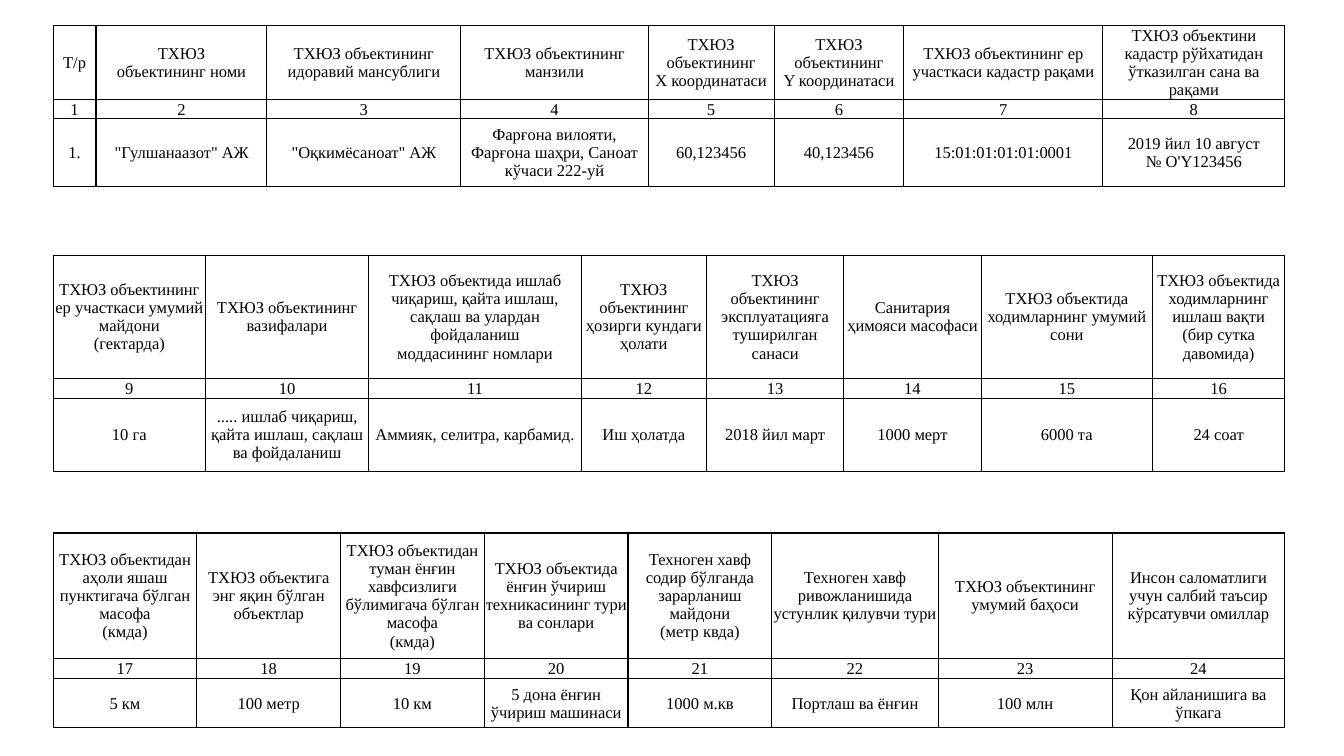
from lxml.etree import SubElement
from pptx import Presentation
from pptx.dml.color import RGBColor
from pptx.enum.text import MSO_ANCHOR, PP_ALIGN
from pptx.oxml.ns import qn
from pptx.util import Pt

BLACK = RGBColor(0, 0, 0)
FONT = "Times New Roman"
FONT_SIZE = 13
BORDER_WIDTH = 1
INSET = 0.7
LEFT = 41.8

# In cell text "\n" starts a paragraph and "\v" breaks a line.
REGISTRATION = {
    "top": 20.2,
    "widths": [33.8, 134.6, 152.6, 147.6, 99.2, 102.2, 156.8, 143.2],
    "heights": [58.3, 15.1, 53.3],
    "headings": [
        "Т/р",
        "ТХЮЗ\nобъектининг номи",
        "ТХЮЗ объектининг идоравий мансублиги",
        "ТХЮЗ объектининг манзили",
        "ТХЮЗ объектининг\nХ координатаси",
        "ТХЮЗ объектининг\nY координатаси",
        "ТХЮЗ объектининг ер участкаси кадастр рақами",
        "ТХЮЗ объектини кадастр рўйхатидан ўтказилган сана ва рақами",
    ],
    "values": [
        "1.",
        '"Гулшанаазот" АЖ',
        '"Оқкимёсаноат" АЖ',
        "Фарғона вилояти, Фарғона шаҳри, Саноат кўчаси 222-уй",
        "60,123456",
        "40,123456",
        "15:01:01:01:01:0001",
        "2019 йил 10 август\n№ O'Y123456",
    ],
}
OPERATION = {
    "top": 200.9,
    "widths": [120, 128.5, 167.4, 98.6, 108.2, 108.2, 134.9, 104.2],
    "heights": [97.2, 15.8, 57.2],
    "headings": [
        "ТХЮЗ объектининг ер участкаси умумий майдони\n(гектарда)",
        "ТХЮЗ объектининг вазифалари",
        "ТХЮЗ объектида ишлаб чиқариш, қайта ишлаш, сақлаш ва улардан "
        "фойдаланиш\vмоддасининг номлари",
        "ТХЮЗ объектининг ҳозирги кундаги ҳолати",
        "ТХЮЗ объектининг эксплуатацияга туширилган санаси",
        "Санитария ҳимояси масофаси",
        "ТХЮЗ объектида ходимларнинг умумий сони",
        "ТХЮЗ объектида ходимларнинг ишлаш вақти\n(бир сутка давомида)",
    ],
    "values": [
        "10 га",
        "..... ишлаб чиқариш, қайта ишлаш, сақлаш ва фойдаланиш",
        "Аммияк, селитра, карбамид.",
        "Иш ҳолатда",
        "2018 йил март",
        "1000 мерт",
        "6000 та",
        "24 соат",
    ],
}
HAZARD = {
    "top": 419.8,
    "widths": [113.2] * 5 + [131, 137, 136],
    "heights": [98.8, 15.8, 38.8],
    "headings": [
        "ТХЮЗ объектидан аҳоли яшаш пунктигача бўлган масофа\n(кмда)",
        "ТХЮЗ объектига энг яқин бўлган объектлар",
        "ТХЮЗ объектидан туман ёнғин хавфсизлиги бўлимигача бўлган масофа\n(кмда)",
        "ТХЮЗ объектида ёнғин ўчириш техникасининг тури ва сонлари",
        "Техноген хавф содир бўлганда зарарланиш майдони\n(метр квда)",
        "Техноген хавф ривожланишида устунлик қилувчи тури",
        "ТХЮЗ объектининг умумий баҳоси",
        "Инсон саломатлиги учун салбий таъсир кўрсатувчи омиллар",
    ],
    "values": [
        "5 км",
        "100 метр",
        "10 км",
        "5 дона ёнғин ўчириш машинаси",
        "1000 м.кв",
        "Портлаш ва ёнғин",
        "100 млн",
        "Қон айланишига ва ўпкага",
    ],
}


def add_borders(cell):
    """Draw all four cell edges; must run before the cell fill is set."""
    properties = cell._tc.get_or_add_tcPr()
    for edge in ("a:lnL", "a:lnR", "a:lnT", "a:lnB"):
        line = SubElement(properties, qn(edge), w=str(Pt(BORDER_WIDTH)))
        fill = SubElement(line, qn("a:solidFill"))
        SubElement(fill, qn("a:srgbClr"), val=str(BLACK))


def write_cell(cell, text):
    cell.margin_left = cell.margin_right = cell.margin_top = Pt(INSET)
    cell.margin_bottom = Pt(0)
    cell.vertical_anchor = MSO_ANCHOR.MIDDLE
    add_borders(cell)
    cell.fill.background()
    frame = cell.text_frame
    for index, content in enumerate(text.split("\n")):
        para = frame.add_paragraph() if index else frame.paragraphs[0]
        para.alignment = PP_ALIGN.CENTER
        for part, words in enumerate(content.split("\v")):
            if part:
                para.add_line_break()
            span = para.add_run()
            span.text = words
            span.font.name = FONT
            span.font.size = Pt(FONT_SIZE)
            span.font.color.rgb = BLACK


def add_register(page, register, first_number):
    """Add a table of headings, running column numbers and values."""
    widths, heights = register["widths"], register["heights"]
    numbers = [str(first_number + offset) for offset in range(len(widths))]
    rows = [register["headings"], numbers, register["values"]]
    table = page.shapes.add_table(
        len(rows), len(widths), Pt(LEFT), Pt(register["top"]),
        Pt(sum(widths)), Pt(sum(heights))).table
    table.first_row = table.horz_banding = False
    for column, width in zip(table.columns, widths):
        column.width = Pt(width)
    for row, height, texts in zip(table.rows, heights, rows):
        row.height = Pt(height)
        for cell, text in zip(row.cells, texts):
            write_cell(cell, text)


def main():
    deck = Presentation()
    deck.slide_width, deck.slide_height = Pt(1058.4), Pt(595.44)
    page = deck.slides.add_slide(deck.slide_layouts[6])
    first_number = 1
    for register in (REGISTRATION, OPERATION, HAZARD):
        add_register(page, register, first_number)
        first_number += len(register["widths"])
    deck.save("out.pptx")


if __name__ == "__main__":
    main()
